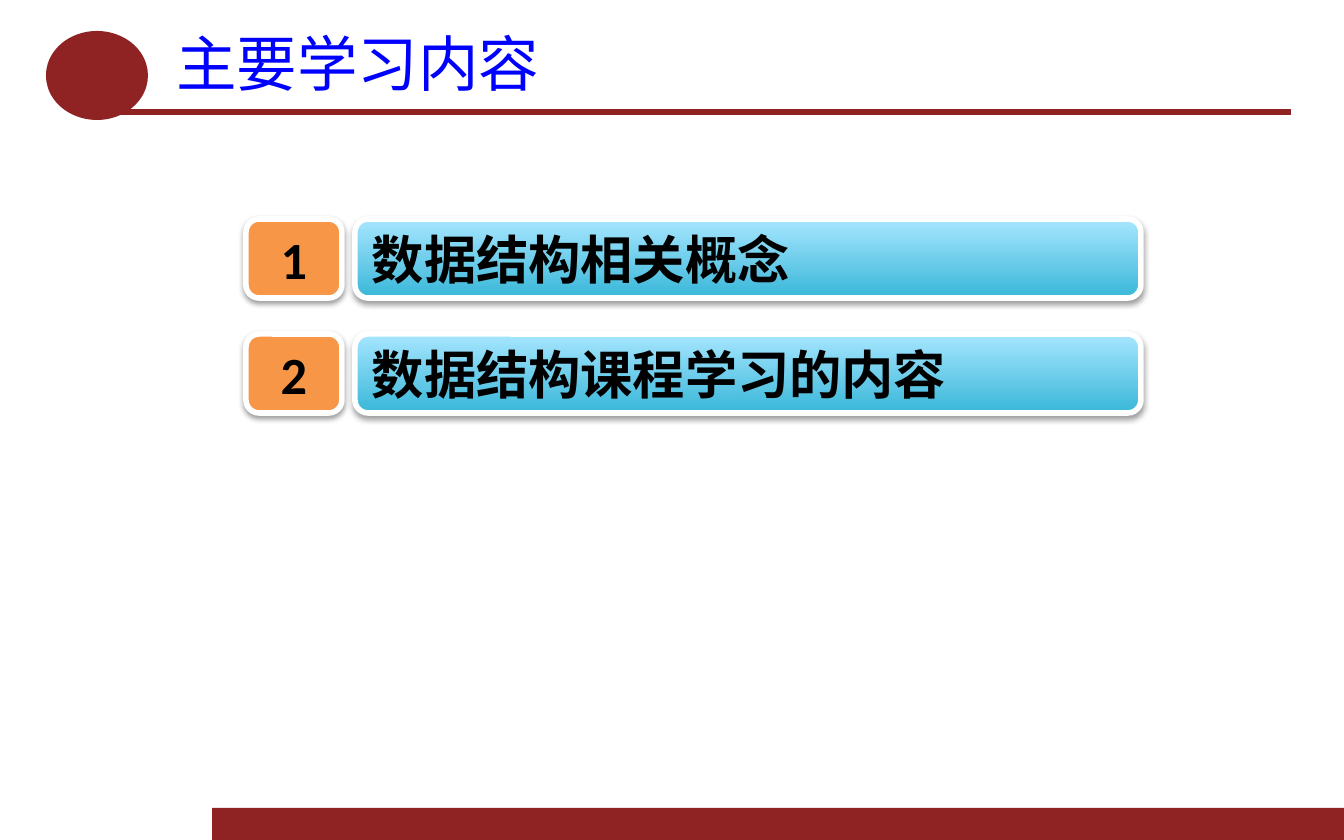
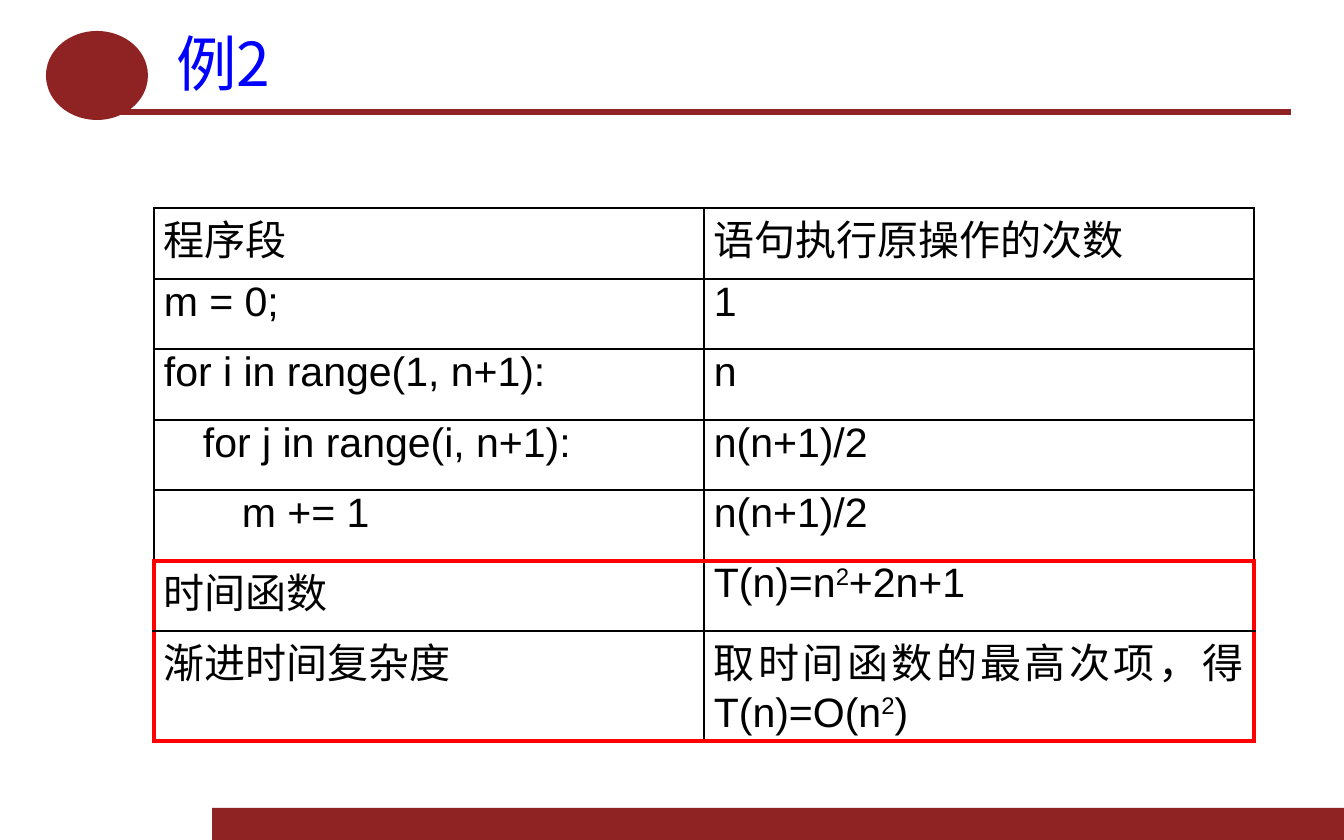
from lxml.etree import SubElement
from pptx import Presentation
from pptx.dml.color import RGBColor
from pptx.enum.shapes import MSO_SHAPE as Shape
from pptx.enum.text import MSO_ANCHOR as Anchor, PP_ALIGN as Align
from pptx.oxml.ns import qn
from pptx.util import Emu, Pt

EMU_PER_PX = 914400 / 134.4
COLORS = {
    "maroon": "8F2222", "title": "0000FF", "text": "000000", "white": "FFFFFF",
    "number": "F79646", "bar_bottom": "39B7D8", "bar_top": "A7E6FF", "highlight": "FF0000",
}
RGB = {name: RGBColor.from_string(value) for name, value in COLORS.items()}


def px(*lengths):
    return [Emu(round(length * EMU_PER_PX)) for length in lengths]


def style(paragraph, size, font, color="text", align=Align.JUSTIFY, bold=False):
    paragraph.alignment = align
    paragraph.font.size = Pt(size)
    paragraph.font.name = font
    paragraph.font.bold = bold
    paragraph.font.color.rgb = RGB[color]


prs = Presentation()
prs.slide_width, prs.slide_height = px(1344, 840)

# Frame and title of every slide
slides = []
for title in ["主要学习内容", "例2"]:
    slide = prs.slides.add_slide(prs.slide_layouts[6])
    slides.append(slide)
    for kind, box in [
        (Shape.RECTANGLE, (212, 808, 1132, 32)),
        (Shape.RECTANGLE, (119, 109, 1172, 6)),
        (Shape.OVAL, (46, 31, 102, 89)),
    ]:
        band = slide.shapes.add_shape(kind, *px(*box))
        band.shadow.inherit = False
        band.fill.solid()
        band.fill.fore_color.rgb = RGB["maroon"]
        band.line.fill.background()
    heading = slide.shapes.add_textbox(*px(163, 23, 1128, 79)).text_frame
    heading.word_wrap = True
    heading.vertical_anchor = Anchor.MIDDLE
    heading.text = title
    style(heading.paragraphs[0], 32.4, "Noto Sans CJK SC", "title")

contents, example = slides

# Numbered list of topics
for index, topic in enumerate(["数据结构相关概念", "数据结构课程学习的内容"]):
    top = 219 + 115 * index
    for left, width, text, align in [
        (355, 786, topic, Align.JUSTIFY),
        (246, 96, str(index + 1), Align.CENTER),
    ]:
        plate = contents.shapes.add_shape(Shape.ROUNDED_RECTANGLE, *px(left, top, width, 79))
        if text == topic:
            plate.fill.gradient()
            plate.fill.gradient_angle = 90
            for stop, color in zip(plate.fill.gradient_stops, ["bar_bottom", "bar_top"]):
                stop.color.rgb = RGB[color]
        else:
            plate.fill.solid()
            plate.fill.fore_color.rgb = RGB["number"]
        plate.line.color.rgb = RGB["white"]
        plate.line.width = Pt(3)
        plate.shadow.inherit = False
        shadow = SubElement(
            plate._element.spPr.find(qn("a:effectLst")), qn("a:outerShdw"),
            blurRad=str(Pt(3.1)), dist=str(Pt(1.6)), dir="5400000", rotWithShape="0")
        shade = SubElement(shadow, qn("a:srgbClr"), val=COLORS["text"])
        SubElement(shade, qn("a:alpha"), val="38000")
        plate.text_frame.vertical_anchor = Anchor.MIDDLE
        plate.text_frame.text = text
        style(plate.text_frame.paragraphs[0], 28, "Calibri", align=align, bold=True)

# Operation counts: code depth, left cell, right cell; text between bars is superscript
COUNTS = [
    (0, "程序段", "语句执行原操作的次数"),
    (0, "m = 0;", "1"),
    (0, "for i in range(1, n+1):", "n"),
    (1, "for j in range(i, n+1):", "n(n+1)/2"),
    (2, "m += 1", "n(n+1)/2"),
    (0, "时间函数", "T(n)=n|2|+2n+1"),
    (0, "渐进时间复杂度", "取时间函数的最高次项，得T(n)=O(n|2|)"),
]
RESULT_ROW, LAST_ROW = 5, len(COUNTS) - 1

frame = example.shapes.add_table(len(COUNTS), 2, *px(154, 208, 1100, 533))
table = frame.table
table.first_row = table.horz_banding = False
for column in table.columns:
    column.width, = px(550)
for row, (depth, *texts) in enumerate(COUNTS):
    table.rows[row].height, = px(110 if row == LAST_ROW else 71 - row % 2)
    for col, text in enumerate(texts):
        cell = table.cell(row, col)
        cell.margin_left, cell.margin_right, cell.margin_top, cell.margin_bottom = px(10, 10, 0, 0)
        paragraph = cell.text_frame.paragraphs[0]
        for part, piece in enumerate(text.split("|")):
            run = paragraph.add_run()
            run.text = piece
            if part % 2:
                run._r.get_or_add_rPr().set("baseline", "30000")
        style(paragraph, 22, "Arial")
        if depth and col == 0:
            indent, = px(39 * depth)
            paragraph._p.get_or_add_pPr().set("indent", str(indent))

        in_results = row >= RESULT_ROW
        highlighted = {
            "L": in_results and col == 0,
            "R": in_results and col == 1,
            "T": row == RESULT_ROW,
            "B": row in (RESULT_ROW - 1, LAST_ROW),
        }
        properties = cell._tc.get_or_add_tcPr()
        for side, is_red in highlighted.items():
            border = SubElement(properties, qn(f"a:ln{side}"), w=str(Pt(2.25 if is_red else 1)))
            paint = SubElement(border, qn("a:solidFill"))
            SubElement(paint, qn("a:srgbClr"), val=COLORS["highlight" if is_red else "text"])
        cell.fill.background()

prs.save("out.pptx")
